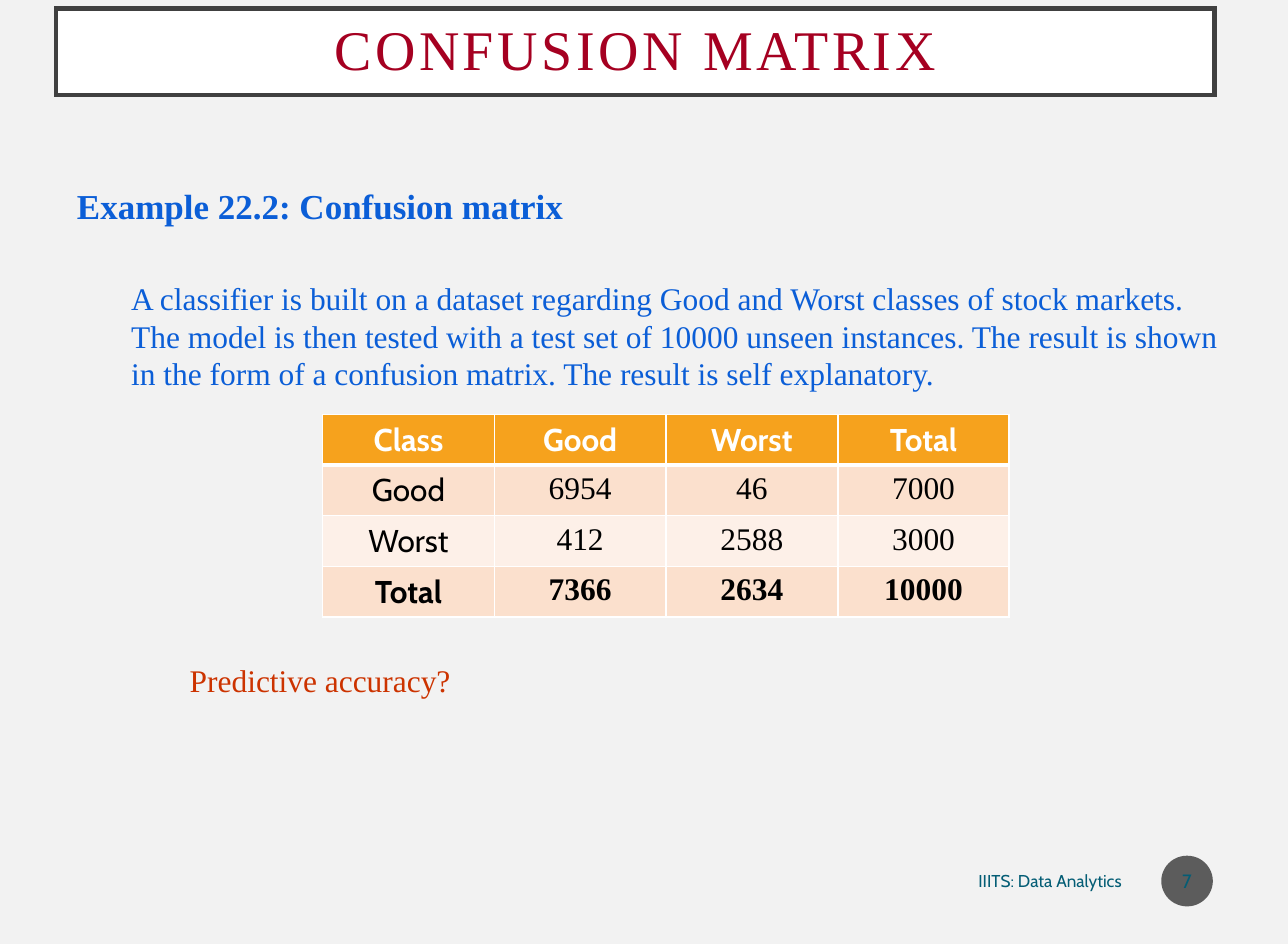
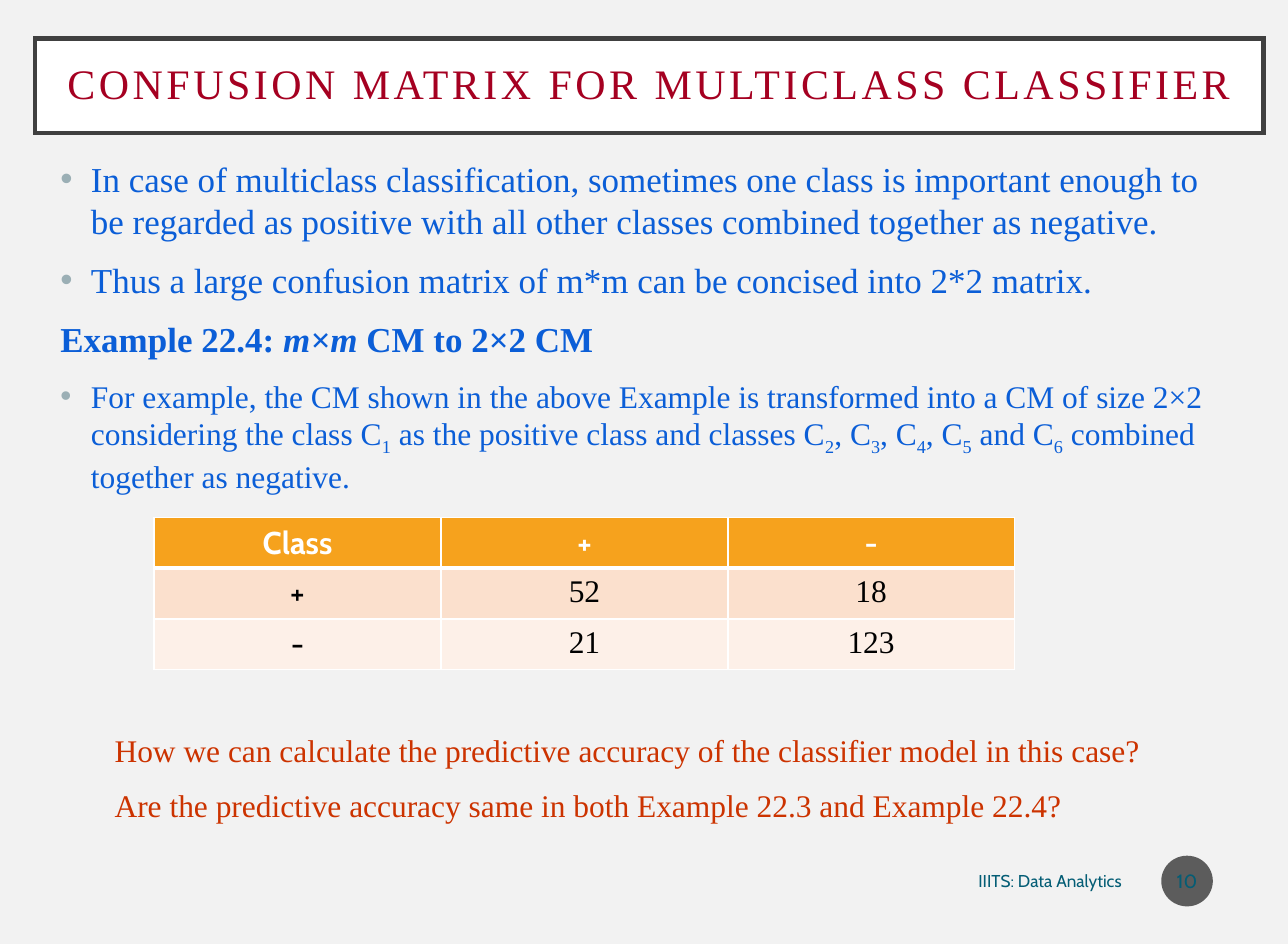
from lxml import etree
from pptx import Presentation
from pptx.dml.color import RGBColor
from pptx.enum.shapes import MSO_SHAPE
from pptx.enum.text import MSO_ANCHOR, PP_ALIGN
from pptx.oxml.ns import qn
from pptx.util import Pt

PX = 6350
SLIDE_SIZE = (1474, 1080)
SERIF, SANS = "Times New Roman", "Cabin"
CENTER, RIGHT, LEFT = PP_ALIGN.CENTER, PP_ALIGN.RIGHT, PP_ALIGN.LEFT
MIDDLE, TOP = MSO_ANCHOR.MIDDLE, MSO_ANCHOR.TOP
RECTANGLE, OVAL = MSO_SHAPE.RECTANGLE, MSO_SHAPE.OVAL

PAPER = RGBColor(0xF2, 0xF2, 0xF2)
WHITE = RGBColor(0xFF, 0xFF, 0xFF)
BLACK = RGBColor(0x00, 0x00, 0x00)
FRAME = RGBColor(0x40, 0x40, 0x40)
CRIMSON = RGBColor(0xA5, 0x00, 0x21)
BLUE = RGBColor(0x0B, 0x5E, 0xD7)
RED = RGBColor(0xCC, 0x33, 0x00)
TEAL = RGBColor(0x04, 0x5D, 0x75)
BADGE = RGBColor(0x1D, 0x1D, 0x1D)
BULLET = RGBColor(0x9B, 0xAF, 0xB5)
ORANGE = RGBColor(0xF6, 0xA2, 0x1D)
BANDS = [RGBColor(0xFB, 0xE0, 0xCD), RGBColor(0xFD, 0xF0, 0xE8)]

FOOTER = "IIITS: Data Analytics"
FOOTER_AT = (965, 982, 333, 50)
BADGE_AT = (1329, 979, 59, 58)
ROW_HEIGHT = 58

SUB = {"baseline": -25}
HEADING = {"size": 20, "bold": True}
SMALL = {"size": 18}
QUESTION = {"size": 18, "color": RED, "indent": 62}
BULLETED = {"bullet": True, "indent": 35}

PAGES = [
    {
        "number": 7,
        "title": "CONFUSION MATRIX",
        "title_at": (64, 10, 1326, 99),
        "title_size": 32,
        "body_at": (74, 204, 1339, 697),
        "body": [
            ("Example 22.2: Confusion matrix", HEADING),
            ("A classifier is built on a dataset regarding Good and Worst classes of stock "
             "markets. The model is then tested with a test set of 10000 unseen instances. "
             "The result is shown in the form of a confusion matrix. The result is self "
             "explanatory.", {**SMALL, "indent": 62, "before": 30}),
        ],
        "table_at": (369, 474),
        "columns": [197, 196, 197, 196],
        "rows": [
            ["Class", "Good", "Worst", "Total"],
            ["Good", "6954", "46", "7000"],
            ["Worst", "412", "2588", "3000"],
            ["Total", "7366", "2634", "10000"],
        ],
        "note": "Predictive accuracy?",
        "note_at": (203, 749, 331, 58),
    },
    {
        "number": 10,
        "title": "CONFUSION MATRIX FOR MULTICLASS CLASSIFIER",
        "title_at": (40, 44, 1406, 108),
        "title_size": 24,
        "body_at": (55, 173, 1339, 795),
        "body": [
            ("In case of multiclass classification, sometimes one class is important enough "
             "to be regarded as positive with all other classes combined together as "
             "negative.", BULLETED),
            ("Thus a large confusion matrix of m*m can be concised into 2*2 matrix.", BULLETED),
            ([("Example 22.4: ", {}), ("m×m", {"italic": True}), (" CM to 2×2 CM", {})], HEADING),
            ([("For example, the CM shown in the above Example is transformed into a CM of "
               "size 2×2 considering the class C", {}), ("1", SUB),
              (" as the positive class and classes C", {}), ("2", SUB),
              (", C", {}), ("3", SUB), (", C", {}), ("4", SUB), (", C", {}), ("5", SUB),
              (" and C", {}), ("6", SUB), (" combined together as negative.", {})],
             {**BULLETED, **SMALL}),
            ("How we can calculate the predictive accuracy of the classifier model in this "
             "case?", {**QUESTION, "before": 135}),
            ("Are the predictive accuracy same in both Example 22.3 and Example 22.4?", QUESTION),
        ],
        "table_at": (176, 592),
        "columns": [329, 328, 328],
        "rows": [["Class", "+", "-"], ["+", "52", "18"], ["-", "21", "123"]],
    },
]


def scaled(lengths):
    return [length * PX for length in lengths]


def write(frame, text, size=20, font=SERIF, color=BLUE, bold=False, align=LEFT,
          before=0, spacing=None, tracking=0, indent=0, bullet=False):
    para = frame.paragraphs[0]
    if para.runs:
        para = frame.add_paragraph()
    para.alignment = align
    para.space_before = Pt(before)
    if spacing:
        para.line_spacing = spacing
    properties = para._p.get_or_add_pPr()
    properties.set("marL", str(indent * PX))
    properties.set("indent", str(-indent * PX if bullet else 0))
    if bullet:
        tint = etree.SubElement(properties, qn("a:buClr"))
        etree.SubElement(tint, qn("a:srgbClr"), val=str(BULLET))
        etree.SubElement(properties, qn("a:buFont"), typeface="Arial")
        etree.SubElement(properties, qn("a:buChar"), char="•")
    for words, style in [(text, {})] if isinstance(text, str) else text:
        span = para.add_run()
        span.text = words
        span.font.size = Pt(size)
        span.font.name = font
        span.font.color.rgb = color
        span.font.bold = bold
        span.font.italic = style.get("italic", False)
        if "baseline" in style:
            span.font._element.set("baseline", str(style["baseline"] * 1000))
        if tracking:
            span.font._element.set("spc", str(round(tracking * 100)))


def add_box(page, place, anchor=TOP, wrap=True):
    frame = page.shapes.add_textbox(*scaled(place)).text_frame
    frame.word_wrap = wrap
    frame.vertical_anchor = anchor
    return frame


def add_panel(page, kind, place, fill, margin):
    shape = page.shapes.add_shape(kind, *scaled(place))
    shape.shadow.inherit = False
    shape.fill.solid()
    shape.fill.fore_color.rgb = fill
    shape.line.fill.background()
    frame = shape.text_frame
    frame.vertical_anchor = MIDDLE
    frame.margin_left = frame.margin_right = margin * PX
    frame.margin_top = frame.margin_bottom = margin * PX
    return shape


def add_title(page, content):
    panel = add_panel(page, RECTANGLE, content["title_at"], WHITE, 29)
    panel.line.color.rgb = FRAME
    panel.line.width = Pt(2.5)
    etree.SubElement(panel.line._ln, qn("a:miter"), lim="800000")
    write(panel.text_frame, content["title"], size=content["title_size"], color=CRIMSON,
          align=CENTER, spacing=0.9, tracking=2)


def add_footer(page, number):
    write(add_box(page, FOOTER_AT, anchor=MIDDLE), FOOTER, size=9.8, font=SANS,
          color=TEAL, align=RIGHT)
    badge = add_panel(page, OVAL, BADGE_AT, BADGE, 0)
    tint = badge.fill._xPr.find(qn("a:solidFill"))[0]
    etree.SubElement(tint, qn("a:alpha"), val="70000")
    write(badge.text_frame, str(number), size=11, font=SANS, color=TEAL, align=CENTER)


def border(cell, bottom):
    properties = cell._tc.get_or_add_tcPr()
    widths = {"a:lnL": 1, "a:lnR": 1, "a:lnT": 1, "a:lnB": bottom}
    for position, (tag, width) in enumerate(widths.items()):
        edge = etree.Element(qn(tag), w=str(Pt(width)))
        fill = etree.SubElement(edge, qn("a:solidFill"))
        etree.SubElement(fill, qn("a:srgbClr"), val=str(WHITE))
        properties.insert(position, edge)


def add_matrix(page, content):
    rows, columns = content["rows"], content["columns"]
    place = (*content["table_at"], sum(columns), ROW_HEIGHT * len(rows))
    table = page.shapes.add_table(len(rows), len(columns), *scaled(place)).table
    for column, width in zip(table.columns, columns):
        column.width = width * PX
    for row, values in enumerate(rows):
        header = row == 0
        for column, value in enumerate(values):
            cell = table.cell(row, column)
            cell.fill.solid()
            cell.fill.fore_color.rgb = ORANGE if header else BANDS[(row - 1) % 2]
            border(cell, 3 if header else 1)
            write(cell.text_frame, value, size=18, align=CENTER,
                  font=SANS if header or column == 0 else SERIF,
                  color=WHITE if header else BLACK,
                  bold=header or values[0] == "Total")


def main():
    deck = Presentation()
    deck.slide_width, deck.slide_height = scaled(SLIDE_SIZE)
    for content in PAGES:
        page = deck.slides.add_slide(deck.slide_layouts[6])
        page.background.fill.solid()
        page.background.fill.fore_color.rgb = PAPER
        add_title(page, content)
        body = add_box(page, content["body_at"])
        for text, style in content["body"]:
            write(body, text, **{"before": 9.8, **style})
        add_footer(page, content["number"])
        add_matrix(page, content)
        if "note" in content:
            write(add_box(page, content["note_at"], wrap=False), content["note"],
                  size=18, color=RED)
    deck.save("out.pptx")


if __name__ == "__main__":
    main()
